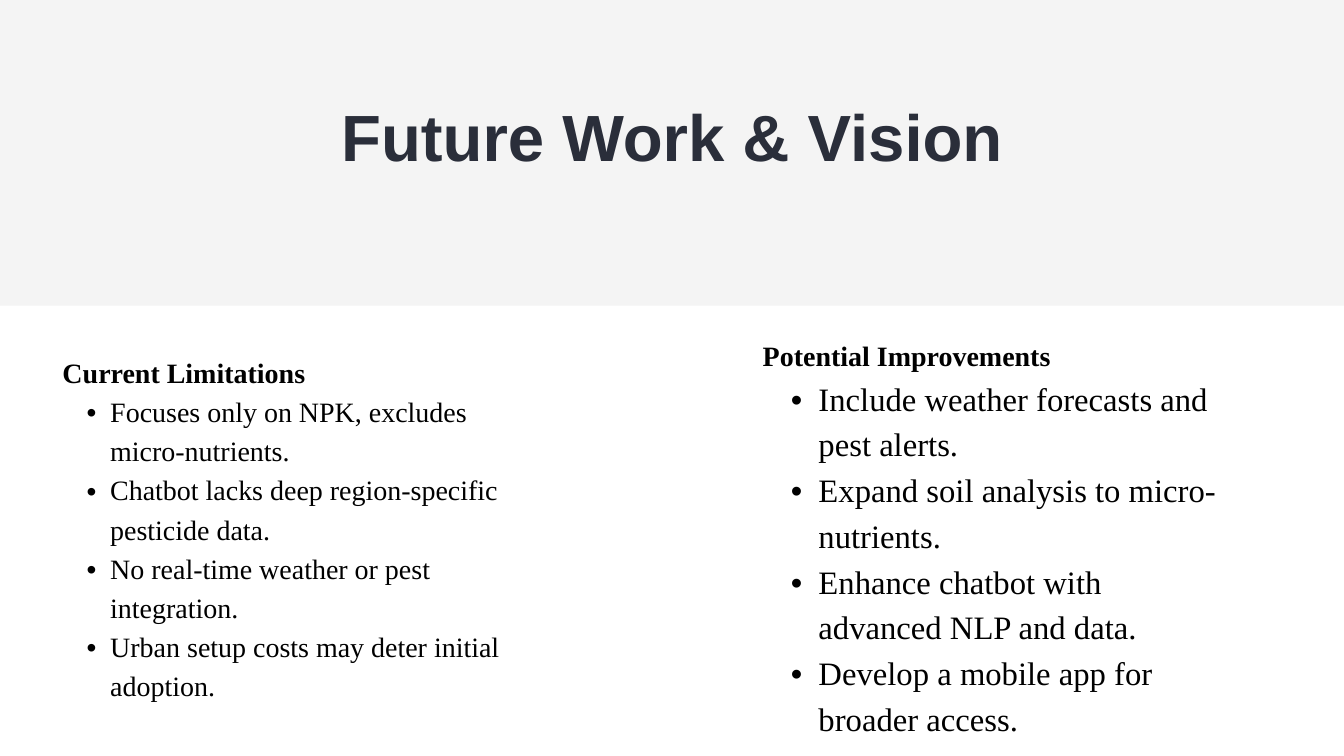
"""Build the Future Work & Vision slide: a title band above two bulleted tables."""
from lxml import etree
from pptx import Presentation
from pptx.dml.color import RGBColor
from pptx.enum.shapes import MSO_SHAPE
from pptx.enum.text import MSO_ANCHOR, MSO_AUTO_SIZE, PP_ALIGN
from pptx.oxml.ns import qn
from pptx.util import Pt

PX = 9144
RECTANGLE = MSO_SHAPE.RECTANGLE
TOP, MIDDLE = MSO_ANCHOR.TOP, MSO_ANCHOR.MIDDLE
NO_AUTOFIT = MSO_AUTO_SIZE.NONE
CENTER = PP_ALIGN.CENTER

SLIDE_SIZE = (2000, 1125)
BAND_BOX = (0, 0, 2000, 455)
TITLE_BOX = (235, 133, 1530, 123)
COLUMN_WIDTHS = (85, 702)
LOWER_ROWS = (64, 155)
CELL_MARGIN = 8
COLORS = {"band": "F4F4F4", "title": "2A2E3A", "text": "000000"}
TITLE = "Future Work & Vision"
HEADING_SIZE = 30

PANELS = [
    {
        "heading": "Current Limitations",
        "position": (0, 481), "text_row": 605,
        "size": 30, "indent": 71, "hanging": 35,
        "items": [
            "Focuses only on NPK, excludes micro-nutrients.",
            "Chatbot lacks deep region-specific pesticide data.",
            "No real-time weather or pest integration.",
            "Urban setup costs may deter initial adoption.",
        ],
    },
    {
        "heading": "Potential Improvements",
        "position": (1042, 486), "text_row": 623,
        "size": 35, "indent": 83, "hanging": 41,
        "items": [
            "Include weather forecasts and pest alerts.",
            "Expand soil analysis to micro-nutrients.",
            "Enhance chatbot with advanced NLP and data.",
            "Develop a mobile app for broader access.",
        ],
    },
]


def emu(lengths):
    return [length * PX for length in lengths]


def set_all(target, values):
    for name, value in values.items():
        setattr(target, name, value)


def write(paragraph, text, size, font_name, color, bold, spacing):
    run = paragraph.add_run()
    run.text = text
    set_all(run.font, {"size": Pt(size), "name": font_name, "bold": bold})
    run.font.color.rgb = RGBColor.from_string(COLORS[color])
    paragraph.line_spacing = Pt(spacing)


def add_bullet(paragraph, indent, hanging):
    paragraph.level = 1
    properties = paragraph._p.get_or_add_pPr()
    properties.set("marL", str(indent * PX))
    properties.set("indent", str(-hanging * PX))
    etree.SubElement(properties, qn("a:buFont")).set("typeface", "Arial")
    etree.SubElement(properties, qn("a:buChar")).set("char", "•")


def add_title(slide):
    band = slide.shapes.add_shape(RECTANGLE, *emu(BAND_BOX))
    band.shadow.inherit = False
    band.fill.solid()
    band.fill.fore_color.rgb = RGBColor.from_string(COLORS["band"])
    band.line.fill.background()

    title = slide.shapes.title
    title.element.addprevious(band.element)
    set_all(title, dict(zip(("left", "top", "width", "height"), emu(TITLE_BOX))))
    set_all(title.text_frame, {
        "margin_left": 0, "margin_top": 0, "margin_right": 0, "margin_bottom": 0,
        "vertical_anchor": TOP, "auto_size": NO_AUTOFIT, "word_wrap": True,
    })
    paragraph = title.text_frame.paragraphs[0]
    paragraph.alignment = CENTER
    write(paragraph, TITLE, 70, "Arial", "title", True, 91)


def add_panel(slide, panel):
    row_heights = (panel["text_row"], *LOWER_ROWS)
    size = (sum(COLUMN_WIDTHS), sum(row_heights))
    frame = slide.shapes.add_table(
        len(row_heights), len(COLUMN_WIDTHS), *emu(panel["position"] + size))
    table = frame.table
    set_all(table, {"first_row": False, "horz_banding": False})
    for column, width in zip(table.columns, emu(COLUMN_WIDTHS)):
        column.width = width
    for row, height in zip(table.rows, emu(row_heights)):
        row.height = height
    for cell in table.iter_cells():
        cell.fill.background()

    cell = table.cell(0, 1)
    cell.vertical_anchor = MIDDLE
    for side in ("left", "top", "right", "bottom"):
        setattr(cell, f"margin_{side}", CELL_MARGIN * PX)
    text_frame = cell.text_frame
    write(text_frame.paragraphs[0], panel["heading"], HEADING_SIZE,
          "Times New Roman", "text", True, HEADING_SIZE * 1.4)
    for item in panel["items"]:
        paragraph = text_frame.add_paragraph()
        add_bullet(paragraph, panel["indent"], panel["hanging"])
        write(paragraph, item, panel["size"],
              "Times New Roman", "text", False, panel["size"] * 1.4)


def main():
    presentation = Presentation()
    presentation.slide_width, presentation.slide_height = emu(SLIDE_SIZE)
    slide = presentation.slides.add_slide(presentation.slide_layouts[5])
    add_title(slide)
    for panel in PANELS:
        add_panel(slide, panel)
    presentation.save("out.pptx")


if __name__ == "__main__":
    main()
